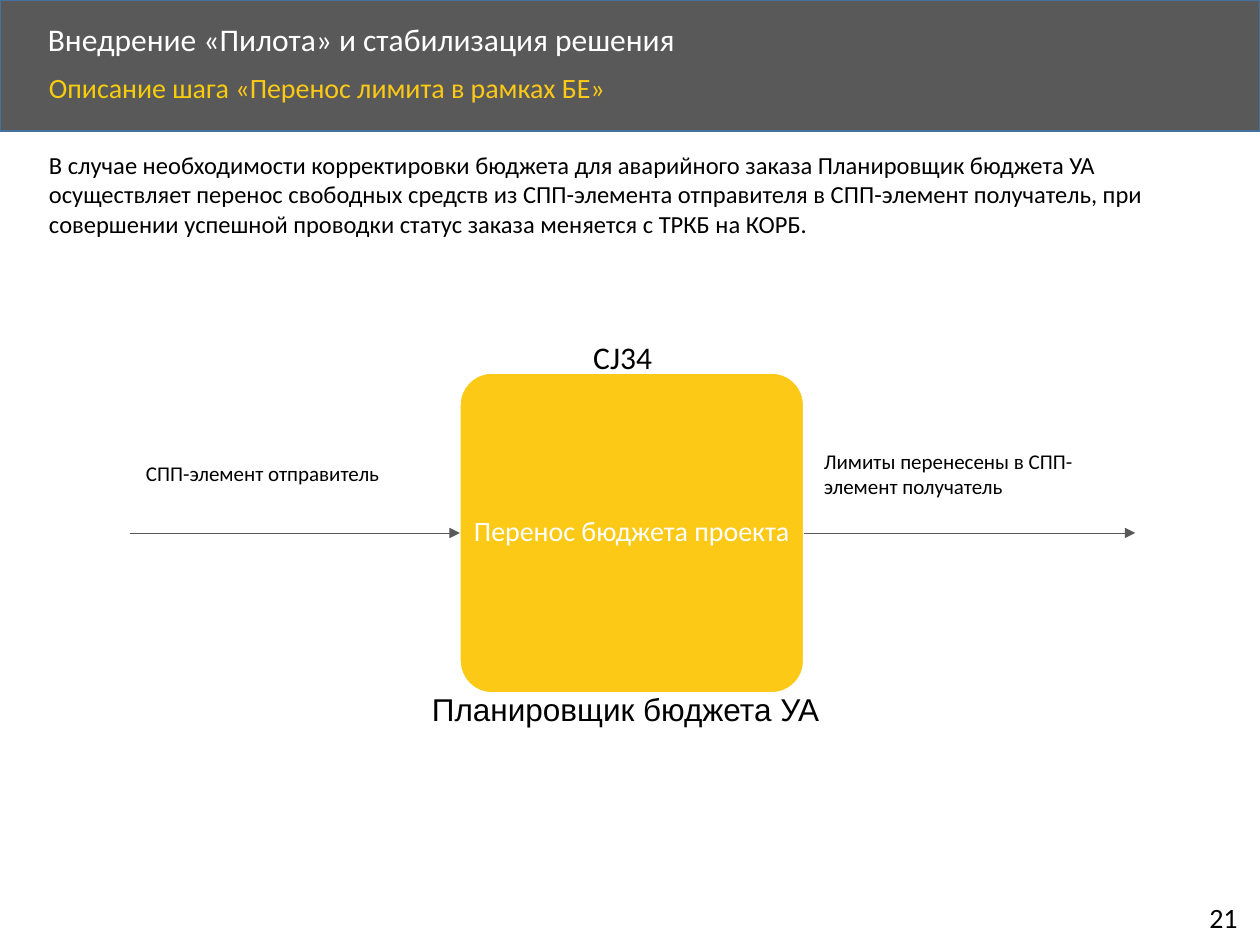
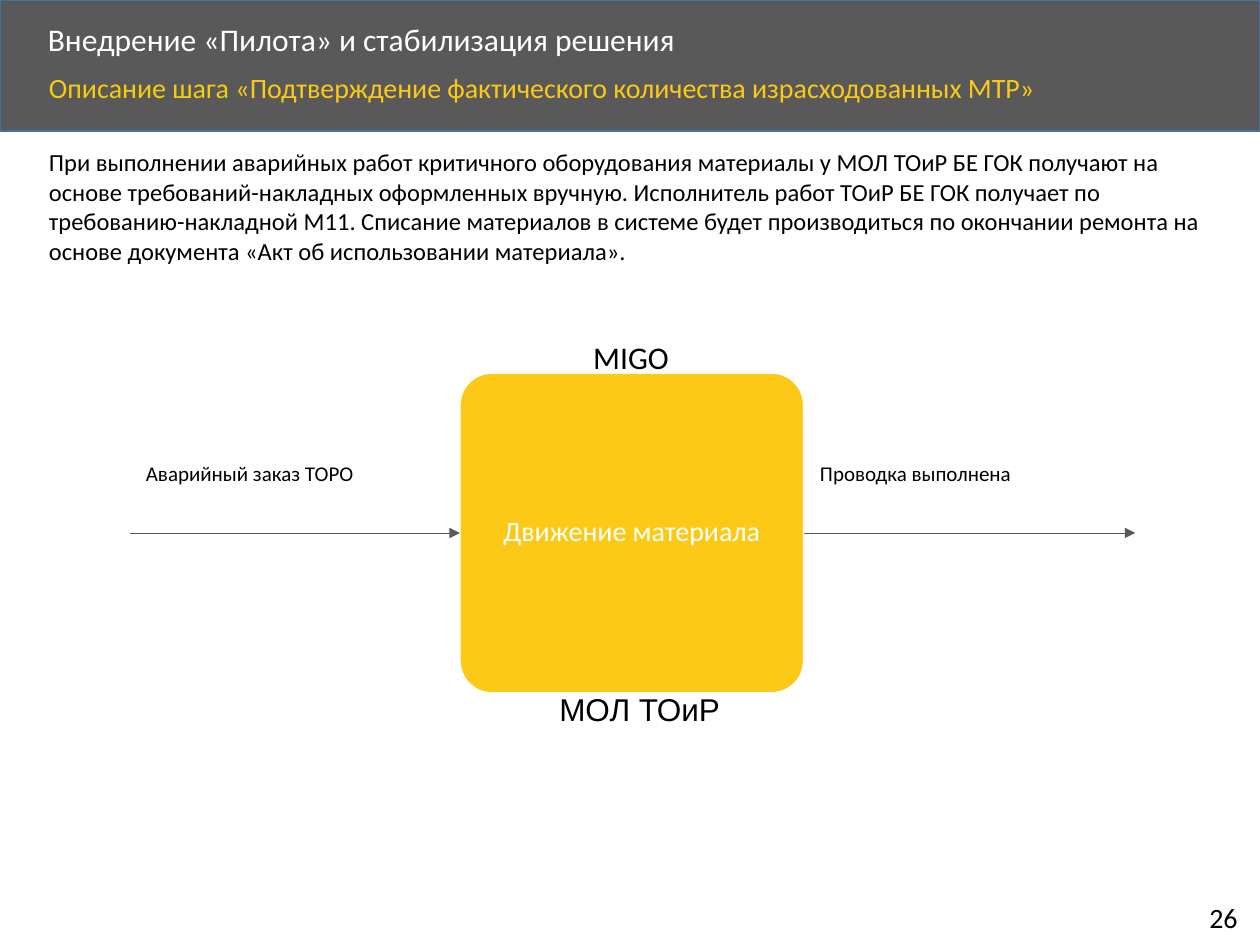
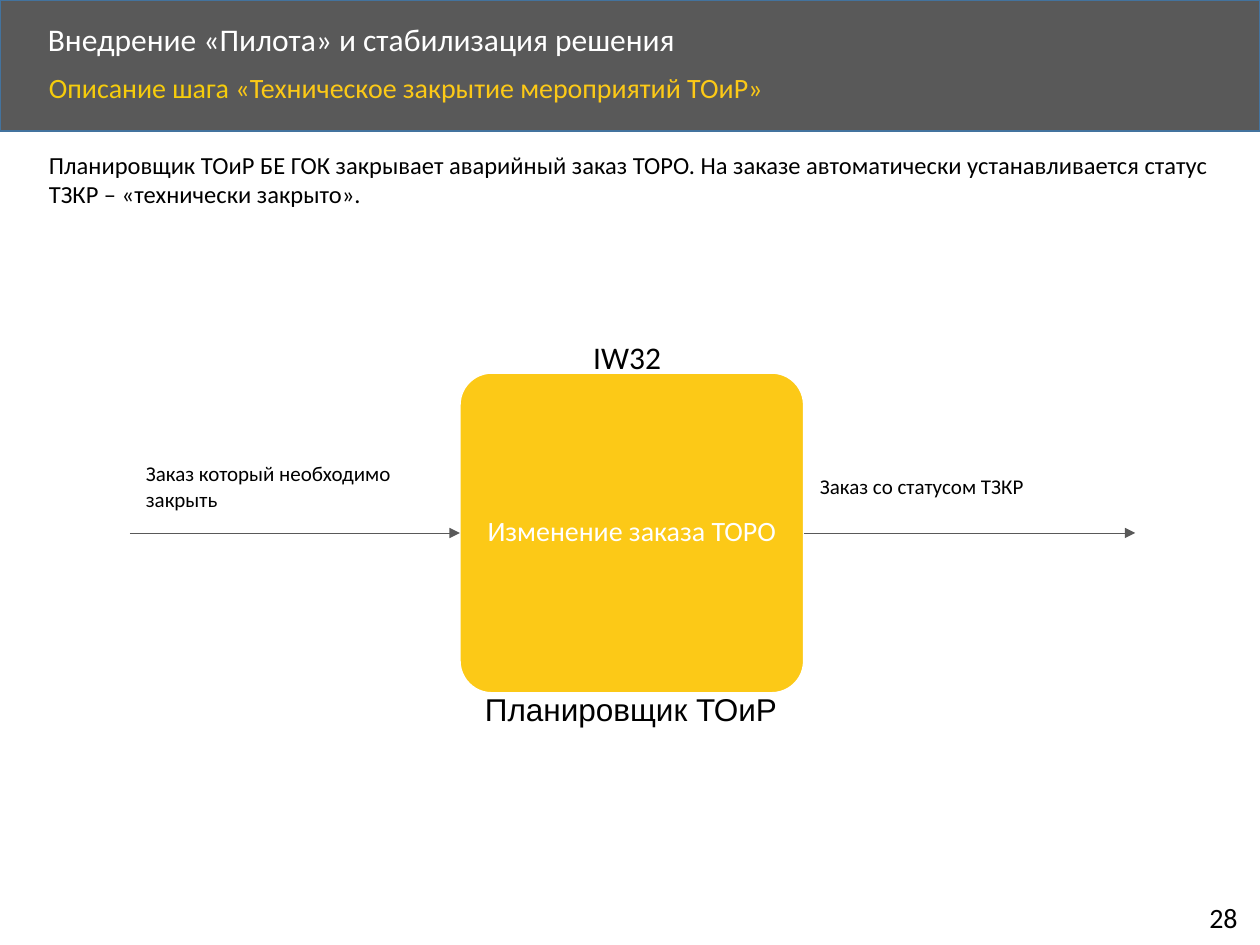
from lxml import etree
from pptx import Presentation
from pptx.dml.color import RGBColor
from pptx.enum.shapes import MSO_CONNECTOR, MSO_SHAPE
from pptx.enum.text import MSO_ANCHOR, MSO_AUTO_SIZE, PP_ALIGN
from pptx.oxml.ns import qn
from pptx.util import Inches, Pt

LEFT, CENTER = PP_ALIGN.LEFT, PP_ALIGN.CENTER
TOP, MIDDLE = MSO_ANCHOR.TOP, MSO_ANCHOR.MIDDLE
RECTANGLE, ROUNDED = MSO_SHAPE.RECTANGLE, MSO_SHAPE.ROUNDED_RECTANGLE
NO_AUTOFIT, STRAIGHT = MSO_AUTO_SIZE.NONE, MSO_CONNECTOR.STRAIGHT
TITLE_ONLY = 5
SIDE_LEFT, SIDE_RIGHT = 1, 3

COLORS = {
    "band": "595959", "band_line": "43739E", "arrow": "595959",
    "step": "FCC917", "subtitle": "F6CC0C", "white": "FFFFFF", "black": "000000",
}

# Content: labels and roles carry their own place where it varies
TITLE = "Внедрение «Пилота» и стабилизация решения"
SUBTITLE_LEAD = "Описание шага "
STEPS = [
    {
        "page": "21",
        "name": "«Перенос лимита в рамках БЕ»",
        "description": "В случае необходимости корректировки бюджета для аварийного заказа "
                       "Планировщик бюджета УА осуществляет перенос свободных средств из "
                       "СПП-элемента отправителя в СПП-элемент получатель, при совершении "
                       "успешной проводки статус заказа меняется с ТРКБ на КОРБ.",
        "description_box": (0.29, 1.14, 9.46, 0.81),
        "transaction": "CJ34",
        "action": "Перенос бюджета проекта",
        "input": "СПП-элемент отправитель",
        "input_box": (1.06, 3.61, 2.56, 0.3),
        "output": "Лимиты перенесены в СПП-элемент получатель",
        "output_box": (6.44, 3.51, 2.57, 0.5),
        "role": "Планировщик бюджета УА",
        "role_box": (3.33, 5.43, 3.29, 0.4),
    },
    {
        "page": "26",
        "name": "«Подтверждение фактического количества израсходованных МТР»",
        "description": "При выполнении аварийных работ критичного оборудования материалы у МОЛ "
                       "ТОиР БЕ ГОК получают на основе требований-накладных оформленных вручную. "
                       "Исполнитель работ ТОиР БЕ ГОК получает по требованию-накладной М11. "
                       "Списание материалов в системе будет производиться по окончании ремонта "
                       "на основе документа «Акт об использовании материала».",
        "description_box": (0.29, 1.12, 9.46, 1.04),
        "transaction": "MIGO",
        "action": "Движение материала",
        "input": "Аварийный заказ ТОРО",
        "input_box": (1.06, 3.61, 2.56, 0.3),
        "output": "Проводка выполнена",
        "output_box": (6.41, 3.61, 2.57, 0.3),
        "role": "МОЛ ТОиР",
        "role_box": (4.34, 5.43, 1.49, 0.4),
    },
    {
        "page": "28",
        "name": "«Техническое закрытие мероприятий ТОиР»",
        "description": "Планировщик ТОиР БЕ ГОК закрывает аварийный заказ ТОРО. На заказе "
                       "автоматически устанавливается статус ТЗКР – «технически закрыто».",
        "description_box": (0.29, 1.14, 9.46, 0.57),
        "transaction": "IW32",
        "action": "Изменение заказа ТОРО",
        "input": "Заказ который необходимо закрыть",
        "input_box": (1.06, 3.61, 2.56, 0.5),
        "output": "Заказ со статусом ТЗКР",
        "output_box": (6.41, 3.71, 2.57, 0.3),
        "role": "Планировщик ТОиР",
        "role_box": (3.75, 5.43, 2.61, 0.4),
    },
]

# Shared layout, in inches
BAND_BOX = (0, 0, 10, 1.04)
TITLE_BOX = (0.28, 0.14, 8.07, 0.38)
SUBTITLE_BOX = (0.29, 0.54, 8.65, 0.45)
PAGE_BOX = (9.5, 7.1, 0.46, 0.37)
TRANSACTION_BOX = (4.61, 2.63, 0.82, 0.4)
STEP_BOX = (3.65, 2.96, 2.73, 2.54)
FLOW_START, FLOW_END = 1.03, 9.01


def rgb(color):
    return RGBColor.from_string(COLORS[color])


def inches(box):
    return [Inches(value) for value in box]


def write(shape, text, *, size, color="black", font="Calibri", align=LEFT,
          anchor=TOP, spacing=1.0, inset=None):
    """Fill a shape with one paragraph; text is a string or (text, color) runs."""
    frame = shape.text_frame
    frame.word_wrap = True
    frame.auto_size = NO_AUTOFIT
    frame.vertical_anchor = anchor
    if inset is not None:
        frame.margin_left = frame.margin_right = Inches(inset)
        frame.margin_top = frame.margin_bottom = Inches(inset)
    paragraph = frame.paragraphs[0]
    paragraph.alignment = align
    paragraph.line_spacing = spacing
    for run_text, run_color in [(text, color)] if isinstance(text, str) else text:
        run = paragraph.add_run()
        run.text = run_text
        run.font.name, run.font.size = font, Pt(size)
        run.font.color.rgb = rgb(run_color)


def add_text(slide, box, text, **style):
    write(slide.shapes.add_textbox(*inches(box)), text, **style)


def add_block(slide, kind, box, fill, line):
    block = slide.shapes.add_shape(kind, *inches(box))
    block.shadow.inherit = False
    block.fill.solid()
    block.fill.fore_color.rgb = rgb(fill)
    block.line.color.rgb = rgb(line)
    block.line.width = Pt(1)
    return block


def add_arrow(slide, start, end):
    middle = STEP_BOX[1] + STEP_BOX[3] / 2
    arrow = slide.shapes.add_connector(STRAIGHT, *inches((start, middle, end, middle)))
    arrow.line.color.rgb = rgb("arrow")
    arrow.line.width = Pt(0.5)
    etree.SubElement(arrow.line._get_or_add_ln(), qn("a:tailEnd"), type="triangle")
    etree.SubElement(arrow._element.spPr, qn("a:effectLst"))
    return arrow


def add_header(slide, step):
    title = slide.shapes.title
    band = add_block(slide, RECTANGLE, BAND_BOX, "band", "band_line")
    title._element.addprevious(band._element)  # band lies behind the title
    title.left, title.top, title.width, title.height = inches(TITLE_BOX)
    write(title, TITLE, size=18, color="white", anchor=MIDDLE, spacing=0.9)
    add_text(slide, SUBTITLE_BOX, [(SUBTITLE_LEAD, "subtitle"), (step["name"], "step")],
             size=16, spacing=0.9)
    add_text(slide, PAGE_BOX, step["page"], size=16)


def add_flow(slide, step):
    action = add_block(slide, ROUNDED, STEP_BOX, "step", "white")
    action.adjustments[0] = 0.1
    write(action, step["action"], size=16, color="white", align=CENTER,
          anchor=MIDDLE, spacing=0.9, inset=0.01)
    step_right = STEP_BOX[0] + STEP_BOX[2]
    add_arrow(slide, FLOW_START, STEP_BOX[0]).end_connect(action, SIDE_LEFT)
    add_arrow(slide, step_right, FLOW_END).begin_connect(action, SIDE_RIGHT)
    add_text(slide, TRANSACTION_BOX, step["transaction"], size=18)
    for label in ("input", "output"):
        add_text(slide, step[label + "_box"], step[label], size=12)
    add_text(slide, step["role_box"], step["role"], size=18, font="Arial")


def main():
    deck = Presentation()
    deck.slide_width, deck.slide_height = Inches(10), Inches(7.5)
    for step in STEPS:
        slide = deck.slides.add_slide(deck.slide_layouts[TITLE_ONLY])
        add_header(slide, step)
        add_text(slide, step["description_box"], step["description"], size=14)
        add_flow(slide, step)
    deck.save("out.pptx")


if __name__ == "__main__":
    main()
